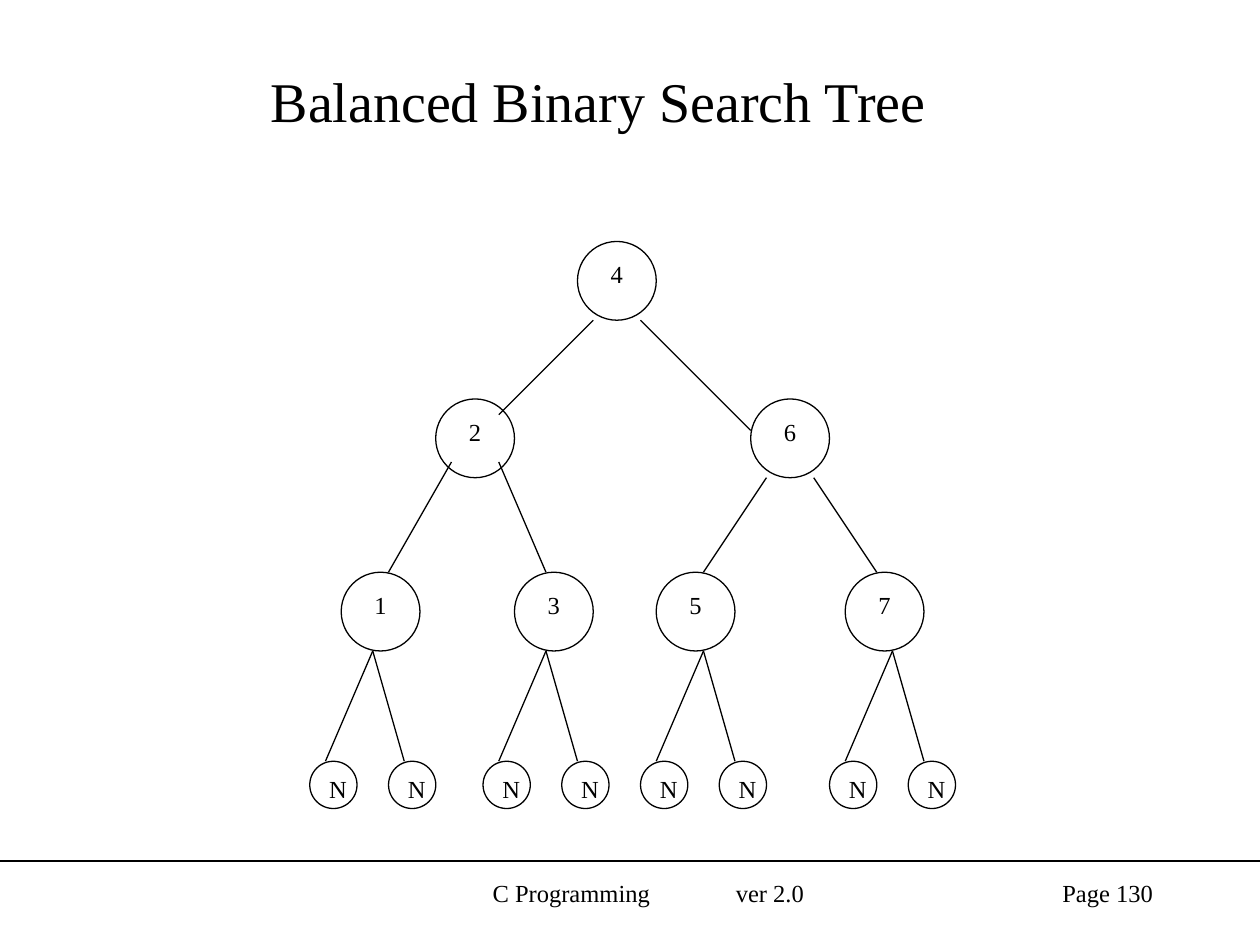
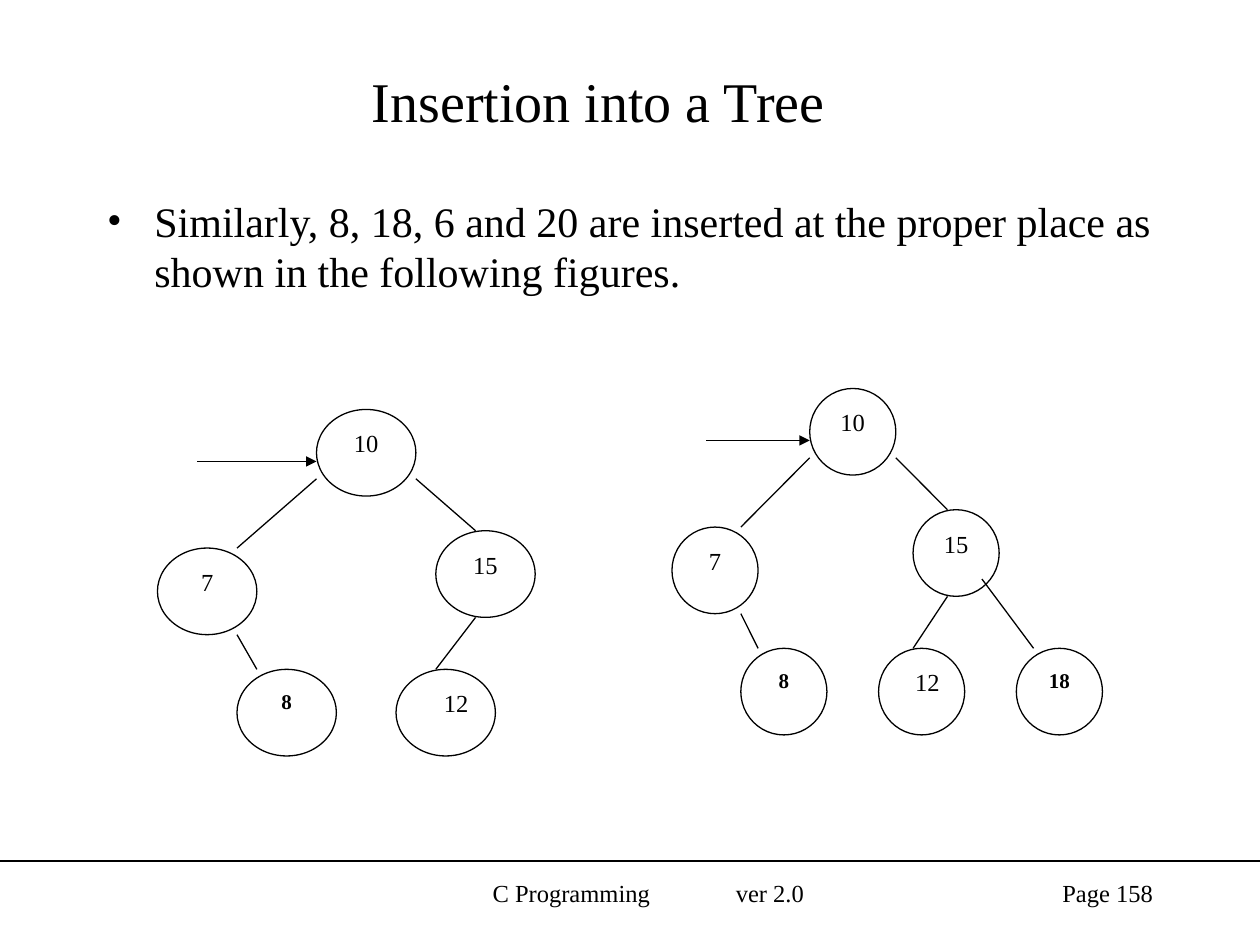
from dataclasses import dataclass

from pptx import Presentation
from pptx.dml.color import RGBColor
from pptx.enum.shapes import MSO_CONNECTOR, MSO_SHAPE
from pptx.enum.text import MSO_ANCHOR, MSO_AUTO_SIZE, PP_ALIGN
from pptx.oxml.ns import qn
from pptx.slide import Slide
from pptx.text.text import TextFrame
from pptx.util import Pt
from lxml.etree import SubElement


@dataclass(frozen=True)
class Theme:
    font: str = "Times New Roman"
    ink: RGBColor = RGBColor(0x00, 0x00, 0x00)
    paper: RGBColor = RGBColor(0xFF, 0xFF, 0xFF)
    title: float = 32
    body: float = 24
    label: float = 14
    inserted: float = 12
    line: float = 0.75


@dataclass(frozen=True)
class Grid:
    """Turns grid steps into points; a tree is placed in whole steps."""
    left: float
    top: float
    step_x: float
    step_y: float

    def x(self, col: float) -> float:
        return self.left + col * self.step_x

    def y(self, row: float) -> float:
        return self.top + row * self.step_y


@dataclass(frozen=True)
class Node:
    label: str
    col: float
    row: float
    size: float = 5
    align: PP_ALIGN = PP_ALIGN.CENTER
    inserted: bool = False


@dataclass(frozen=True)
class Edge:
    col1: float
    row1: float
    col2: float
    row2: float
    arrow: bool = False


THEME = Theme()
TITLE_ONLY, TITLE_AND_BODY = 5, 1

# Balanced tree: each lowest key forks into two empty leaves
BALANCED_GRID = Grid(177, 138, 9, 9)
FORK_COLS = (4, 15, 25, 37)
FORK_ROW, LEAF_ROW = 26, 33
BALANCED_NODES = [
    Node("4", 17, 0), Node("2", 8, 10), Node("6", 28, 10),
    Node("1", 2, 21), Node("3", 13, 21), Node("5", 22, 21), Node("7", 34, 21),
] + [Node("N", fork + shift, LEAF_ROW, size=3)
     for fork in FORK_COLS for shift in (-4, 1)]
BALANCED_EDGES = [
    Edge(18, 5, 12, 11), Edge(21, 5, 28, 12),
    Edge(9, 14, 5, 21), Edge(12, 14, 15, 21),
    Edge(29, 15, 25, 21), Edge(32, 15, 36, 21),
] + [Edge(fork, FORK_ROW, fork + shift, LEAF_ROW)
     for fork in FORK_COLS for shift in (-3, 2)]

# Insertion: the second tree is the first one with 18 added
AFTER_8_GRID = Grid(90, 234, 11.36, 9.9)
AFTER_18_GRID = Grid(384, 222, 9.84, 9.9)
AFTER_8_NODES = [
    Node("10", 8, 0), Node("15", 14, 7), Node("7", 0, 8),
    Node("12", 12, 15, align=PP_ALIGN.RIGHT),
    Node("8", 4, 15, inserted=True),
]
AFTER_8_EDGES = [
    Edge(2, 3, 8, 3, arrow=True), Edge(13, 4, 16, 7), Edge(8, 4, 4, 8),
    Edge(16, 12, 14, 15), Edge(4, 13, 5, 15),
]
AFTER_18_NODES = AFTER_8_NODES + [Node("18", 20, 15, inserted=True)]
AFTER_18_EDGES = AFTER_8_EDGES + [Edge(18, 11, 21, 15)]


def set_text(tf: TextFrame, text: str, size: float, align: PP_ALIGN,
             bold: bool = False) -> None:
    tf.text = text
    tf.word_wrap = True
    tf.auto_size = MSO_AUTO_SIZE.NONE
    p = tf.paragraphs[0]
    p.alignment = align
    p.space_before = Pt(0)
    for r in p.runs:
        r.font.name = THEME.font
        r.font.size = Pt(size)
        r.font.bold = bold
        r.font.color.rgb = THEME.ink


def place(sp, left: float, top: float, width: float, height: float) -> None:
    sp.left, sp.top, sp.width, sp.height = map(Pt, (left, top, width, height))


def add_line(slide: Slide, x1: float, y1: float, x2: float, y2: float,
             arrow: bool = False) -> None:
    line = slide.shapes.add_connector(
        MSO_CONNECTOR.STRAIGHT, Pt(x1), Pt(y1), Pt(x2), Pt(y2))
    line.line.color.rgb = THEME.ink
    line.line.width = Pt(THEME.line)
    if arrow:
        SubElement(line.line._get_or_add_ln(), qn("a:tailEnd"), type="triangle")
    SubElement(line._element.spPr, qn("a:effectLst"))


def add_node(slide: Slide, grid: Grid, node: Node) -> None:
    sp = slide.shapes.add_shape(
        MSO_SHAPE.OVAL, Pt(grid.x(node.col)), Pt(grid.y(node.row)),
        Pt(node.size * grid.step_x), Pt(node.size * grid.step_y))
    sp.shadow.inherit = False
    sp.fill.solid()
    sp.fill.fore_color.rgb = THEME.paper
    sp.line.color.rgb = THEME.ink
    sp.line.width = Pt(THEME.line)
    sp.text_frame.vertical_anchor = MSO_ANCHOR.TOP
    size = THEME.inserted if node.inserted else THEME.label
    set_text(sp.text_frame, node.label, size, node.align, node.inserted)


def add_tree(slide: Slide, grid: Grid, nodes: list[Node],
             edges: list[Edge]) -> None:
    for node in nodes:
        add_node(slide, grid, node)
    for e in edges:
        add_line(slide, grid.x(e.col1), grid.y(e.row1),
                 grid.x(e.col2), grid.y(e.row2), e.arrow)


def add_footer(slide: Slide, page: int) -> None:
    add_line(slide, 0, 492, 720, 492)
    course = slide.shapes.add_textbox(Pt(246), Pt(498), Pt(246), Pt(36))
    course.text_frame.margin_left = Pt(35.5)
    set_text(course.text_frame, "C Programming\tver 2.0", THEME.label, PP_ALIGN.LEFT)
    tabs = SubElement(course.text_frame.paragraphs[0]._p.get_or_add_pPr(),
                      qn("a:tabLst"))
    SubElement(tabs, qn("a:tab"), pos=str(Pt(139)), algn="l")
    number = slide.shapes.add_textbox(Pt(516), Pt(498), Pt(150), Pt(36))
    set_text(number.text_frame, f"Page {page}", THEME.label, PP_ALIGN.RIGHT)


def add_slide(prs: Presentation, layout: int, title: str, page: int) -> Slide:
    slide = prs.slides.add_slide(prs.slide_layouts[layout])
    slide.background.fill.solid()
    slide.background.fill.fore_color.rgb = THEME.paper
    add_footer(slide, page)
    sp = slide.shapes.title
    place(sp, 36, 18, 612, 78)
    sp.text_frame.vertical_anchor = MSO_ANCHOR.MIDDLE
    set_text(sp.text_frame, title, THEME.title, PP_ALIGN.CENTER)
    return slide


def fill_body(slide: Slide, text: str) -> None:
    sp = slide.placeholders[1]
    place(sp, 54, 108, 612, 372)
    set_text(sp.text_frame, text, THEME.body, PP_ALIGN.LEFT)
    pPr = sp.text_frame.paragraphs[0]._p.get_or_add_pPr()
    pPr.set("marL", str(Pt(27)))
    pPr.set("indent", str(Pt(-27)))
    SubElement(pPr, qn("a:buFont"), typeface=THEME.font)
    SubElement(pPr, qn("a:buChar"), char="•")


def main() -> None:
    prs = Presentation()
    prs.slide_width, prs.slide_height = Pt(720), Pt(540)

    balanced = add_slide(prs, TITLE_ONLY, "Balanced Binary Search Tree", 130)
    add_tree(balanced, BALANCED_GRID, BALANCED_NODES, BALANCED_EDGES)

    insertion = add_slide(prs, TITLE_AND_BODY, "Insertion into a Tree", 158)
    fill_body(insertion, "Similarly, 8, 18, 6 and 20 are inserted at the proper "
                         "place as shown in the following figures.")
    add_tree(insertion, AFTER_8_GRID, AFTER_8_NODES, AFTER_8_EDGES)
    add_tree(insertion, AFTER_18_GRID, AFTER_18_NODES, AFTER_18_EDGES)

    prs.save("out.pptx")


if __name__ == "__main__":
    main()
